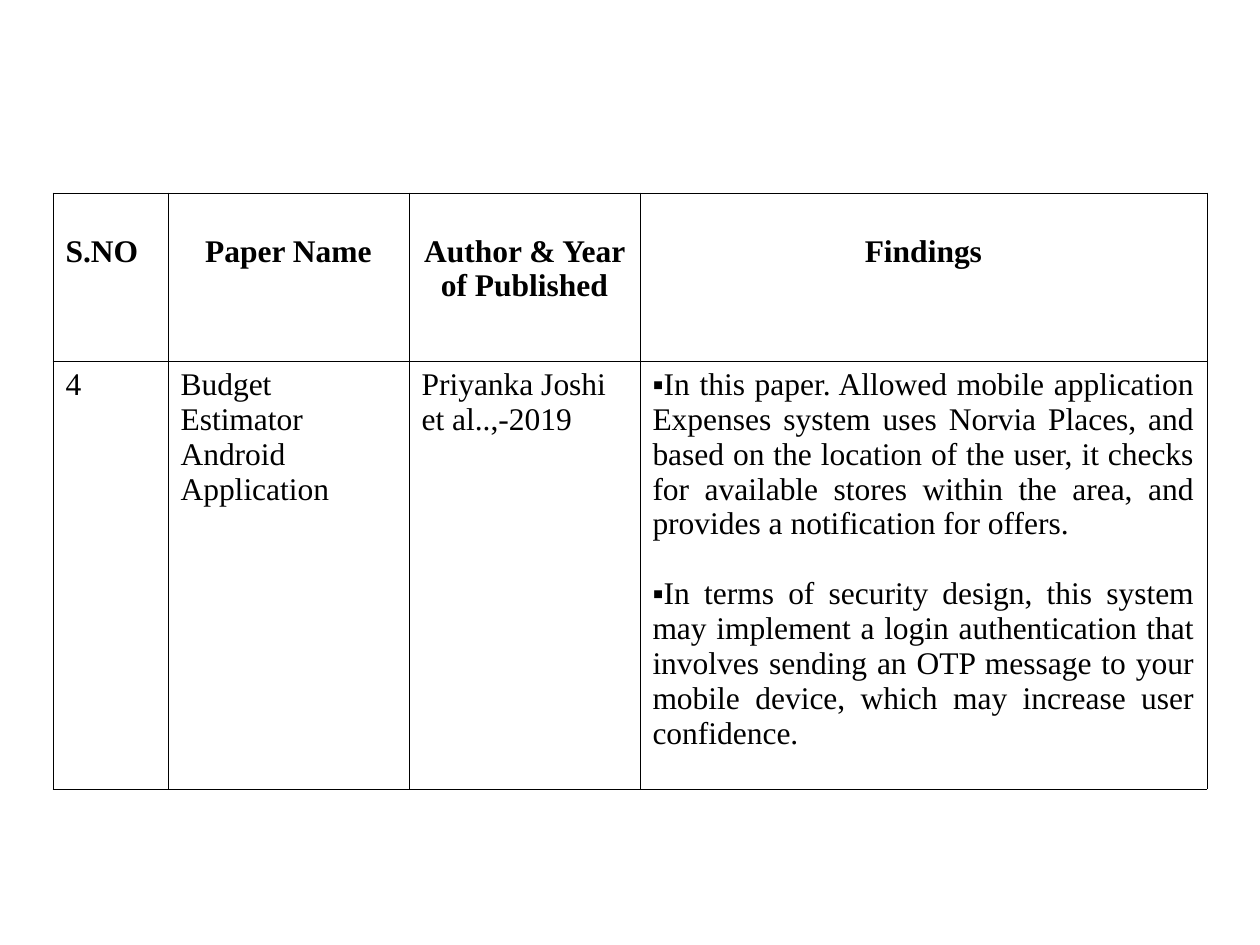
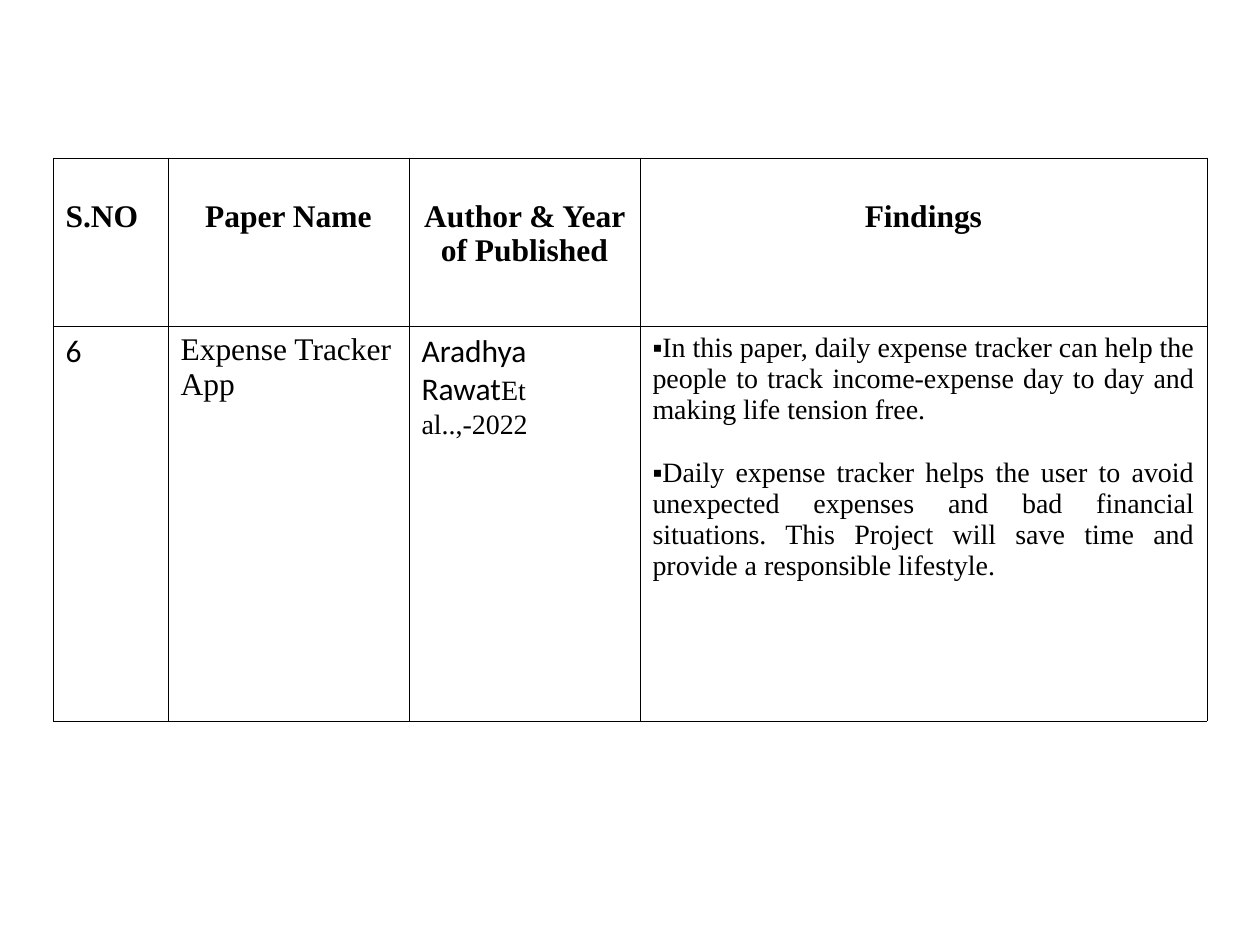
from dataclasses import dataclass

from lxml.etree import SubElement
from pptx import Presentation
from pptx.dml.color import RGBColor
from pptx.enum.text import PP_ALIGN as Align
from pptx.oxml.ns import qn
from pptx.slide import Slide
from pptx.table import _Cell as Cell
from pptx.text.text import Font
from pptx.util import Emu, Pt

PIXEL = 914400 / 126


def px(pixels: int) -> Emu:
    return Emu(round(pixels * PIXEL))


@dataclass(frozen=True)
class Theme:
    ink: str = "000000"
    serif: str = "Times New Roman"
    sans: str = "Calibri"
    body: int = 18
    small: int = 16
    border: float = 0.5
    bullet: str = "▪"


THEME = Theme()

# Table layout shared by both slides
LEFT = 53
COLUMN_WIDTHS = (115, 241, 231, 567)
HEADER_HEIGHT = 168
HEADER_INSET = 41
HEADINGS = ("S.NO", "Paper Name", "Author & Year of Published", "Findings")


@dataclass(frozen=True)
class Span:
    text: str
    face: str = THEME.serif
    size: int = THEME.body
    bold: bool = False


@dataclass(frozen=True)
class PaperReview:
    top: int
    row_height: int
    number: Span
    name: Span
    author: tuple[Span, ...]
    findings: tuple[Span, ...]


REVIEWS = (
    PaperReview(
        top=193,
        row_height=428,
        number=Span("4"),
        name=Span("Budget Estimator Android Application"),
        author=(Span("Priyanka Joshi et al..,-2019"),),
        findings=(
            Span("In this paper. Allowed mobile application Expenses system uses "
                 "Norvia Places, and based on the location of the user, it checks "
                 "for available stores within the area, and provides a "
                 "notification for offers."),
            Span("In terms of security design, this system may implement a login "
                 "authentication that involves sending an OTP message to your "
                 "mobile device, which may increase user confidence."),
        ),
    ),
    PaperReview(
        top=158,
        row_height=395,
        number=Span("6", face=THEME.sans),
        name=Span("Expense Tracker App"),
        author=(Span("Aradhya Rawat", face=THEME.sans),
                Span("Et al..,-2022", size=THEME.small)),
        findings=(
            Span("In this paper, daily expense tracker can help the people to "
                 "track income-expense day to day and making life tension free.",
                 size=THEME.small),
            Span("Daily expense tracker helps the user to avoid unexpected "
                 "expenses and bad financial situations. This Project will save "
                 "time and provide a responsible lifestyle.", size=THEME.small),
        ),
    ),
)


def style_font(font: Font, span: Span) -> None:
    font.name = span.face
    font.size = Pt(span.size)
    font.bold = span.bold
    font.color.rgb = RGBColor.from_string(THEME.ink)


def style_cell(cell: Cell) -> None:
    """Clear the fill and draw the four borders."""
    cell.fill.background()
    properties = cell._tc.get_or_add_tcPr()
    for position, side in enumerate(("a:lnL", "a:lnR", "a:lnT", "a:lnB")):
        line = SubElement(properties, qn(side), w=str(Pt(THEME.border)))
        fill = SubElement(line, qn("a:solidFill"))
        SubElement(fill, qn("a:srgbClr"), val=THEME.ink)
        properties.insert(position, line)


def write_line(cell: Cell, spans: tuple[Span, ...], align: Align = Align.LEFT) -> None:
    """Write one paragraph, with run fonts only where the spans differ."""
    paragraph = cell.text_frame.paragraphs[0]
    paragraph.alignment = align
    if len(spans) == 1:
        style_font(paragraph.font, spans[0])
    for span in spans:
        run = paragraph.add_run()
        run.text = span.text
        if len(spans) > 1:
            style_font(run.font, span)


def write_findings(cell: Cell, findings: tuple[Span, ...]) -> None:
    """Write justified bullets with about one line of space between them."""
    frame = cell.text_frame
    for index, finding in enumerate(findings):
        paragraph = frame.add_paragraph() if index else frame.paragraphs[0]
        properties = paragraph._p.get_or_add_pPr()
        properties.set("marL", "0")
        properties.set("indent", "0")
        SubElement(properties, qn("a:buFont"), typeface=THEME.serif)
        SubElement(properties, qn("a:buChar"), char=THEME.bullet)
        paragraph.alignment = Align.JUSTIFY
        if index:
            paragraph.space_before = Pt(finding.size + 2)
        paragraph.add_run().text = finding.text
        style_font(paragraph.font, finding)


def draw_review(slide: Slide, review: PaperReview) -> None:
    heights = (HEADER_HEIGHT, review.row_height)
    table = slide.shapes.add_table(
        len(heights), len(COLUMN_WIDTHS), px(LEFT), px(review.top),
        px(sum(COLUMN_WIDTHS)), px(sum(heights))).table
    table.first_row = False
    table.horz_banding = False
    for column, width in zip(table.columns, COLUMN_WIDTHS):
        column.width = px(width)
    for row, height in zip(table.rows, heights):
        row.height = px(height)
    for cell in table.iter_cells():
        style_cell(cell)

    # Header row
    for index, heading in enumerate(HEADINGS):
        cell = table.cell(0, index)
        cell.margin_top = px(HEADER_INSET)
        write_line(cell, (Span(heading, bold=True),),
                   Align.CENTER if index else Align.LEFT)

    # Paper row
    for index, spans in enumerate(((review.number,), (review.name,), review.author)):
        write_line(table.cell(1, index), spans)
    write_findings(table.cell(1, 3), review.findings)


presentation = Presentation()
presentation.slide_width = px(1260)
presentation.slide_height = px(945)
blank_layout = presentation.slide_layouts[6]
for paper_review in REVIEWS:
    draw_review(presentation.slides.add_slide(blank_layout), paper_review)
presentation.save("out.pptx")
